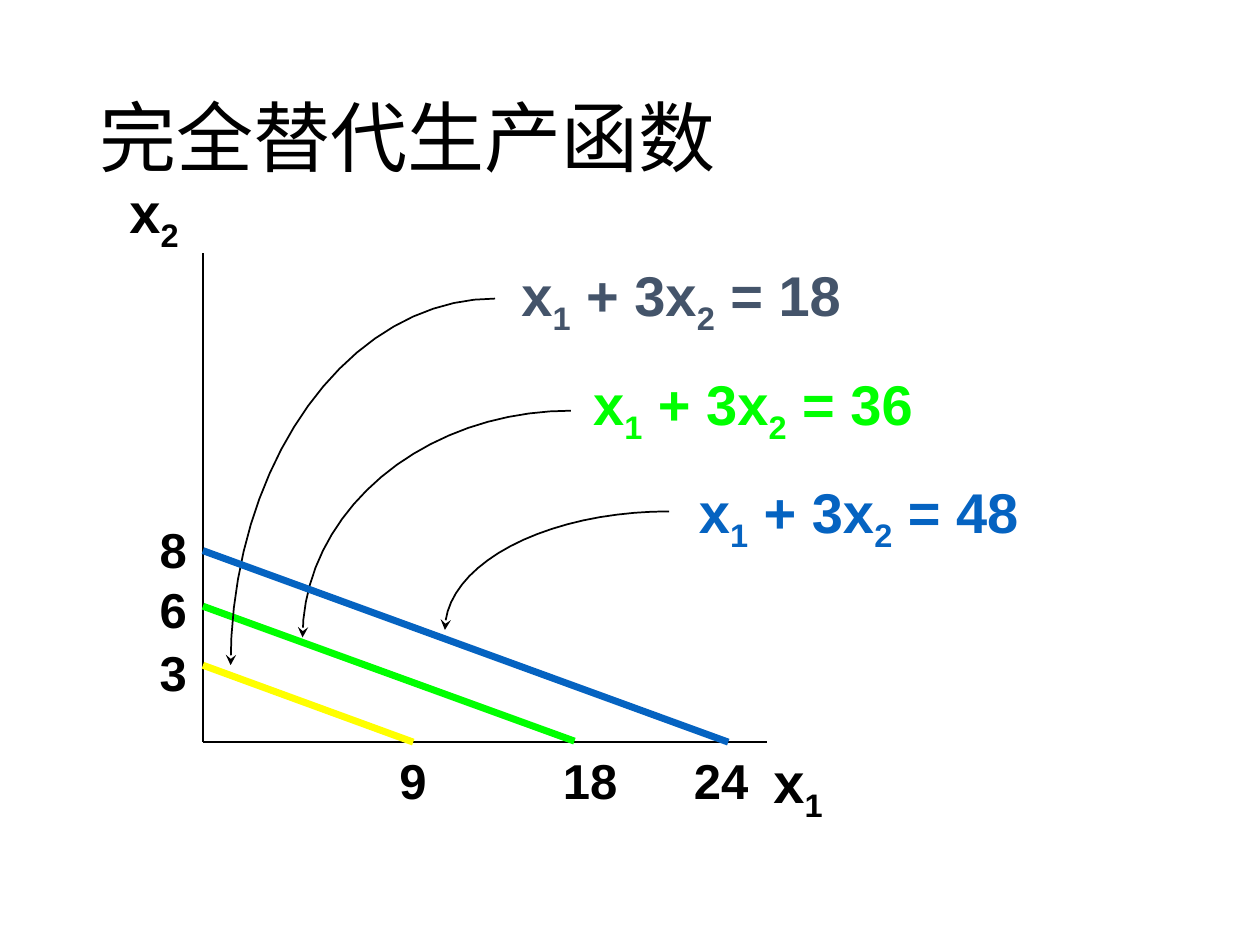
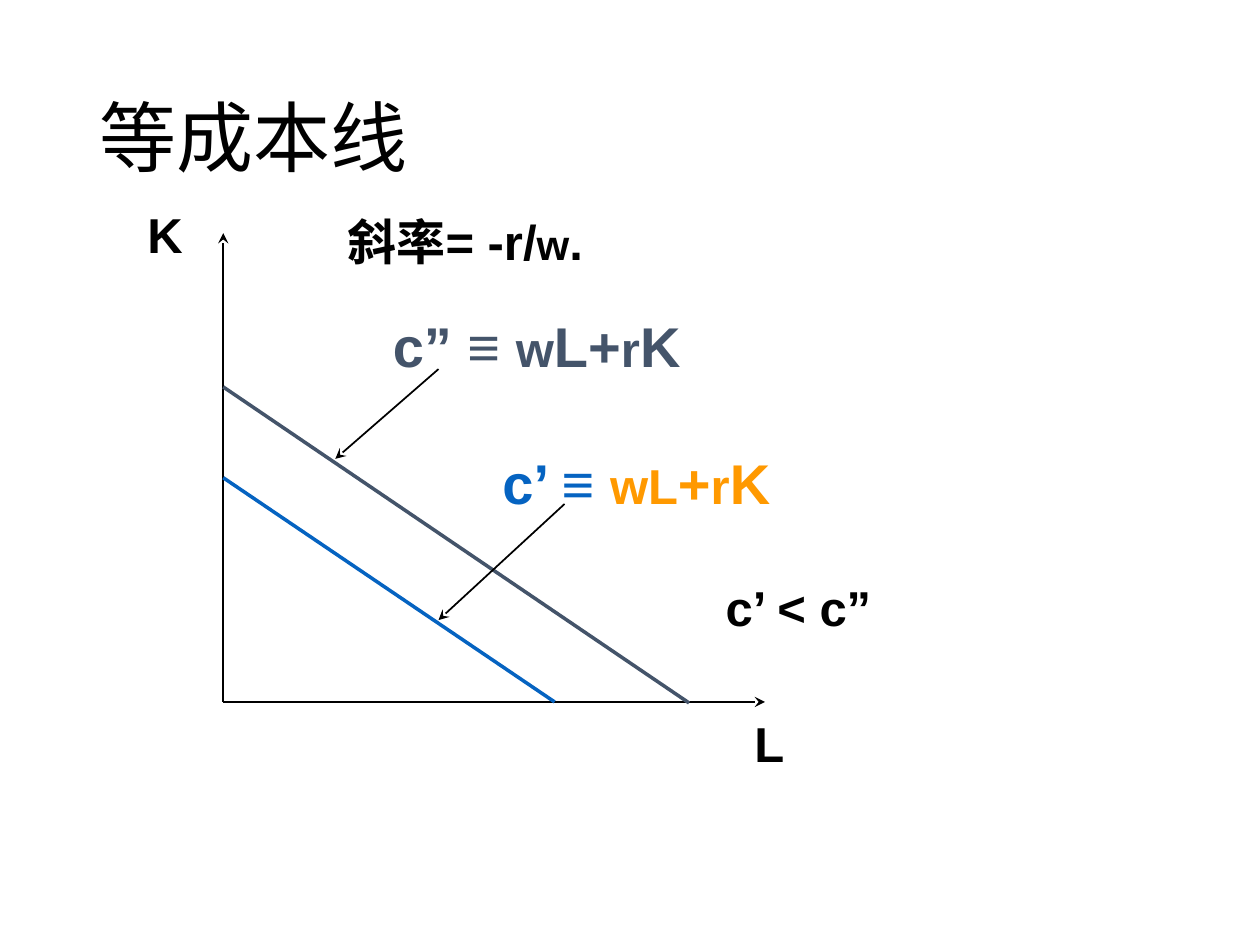
"""Build two production-theory slides: perfect substitutes and isocost lines."""
from dataclasses import dataclass
from math import cos, pi, sin

from lxml.etree import SubElement
from pptx import Presentation
from pptx.dml.color import RGBColor
from pptx.enum.lang import MSO_LANGUAGE_ID
from pptx.enum.shapes import MSO_CONNECTOR
from pptx.enum.text import MSO_ANCHOR, MSO_AUTO_SIZE, PP_ALIGN
from pptx.oxml.ns import qn
from pptx.presentation import Presentation as Deck
from pptx.slide import Slide
from pptx.util import Cm, Pt

COLORS = {
    "black": "000000",
    "slate": "44546A",
    "green": "00FF00",
    "blue": "0563C1",
    "yellow": "FFFF00",
    "orange": "FF9900",
}
TITLE_FONT = "Calibri"
LABEL_FONT = "Arial"
ARC_STEPS = 20
SMALL_HEIGHT = 1.45
LARGE_HEIGHT = 1.61


@dataclass(frozen=True)
class Span:
    """One run of bold label text."""

    text: str
    size: int = 28
    color: str = "black"
    subscript: bool = False


@dataclass(frozen=True)
class Label:
    """A text box placed in centimetres."""

    left: float
    top: float
    width: float
    height: float
    spans: tuple[Span, ...]
    wrap: bool = False


@dataclass(frozen=True)
class Stroke:
    """A straight line or quarter ellipse, with an optional arrow at its end."""

    start: tuple[float, float]
    end: tuple[float, float]
    color: str = "black"
    width: float = 1
    arrow: bool = False
    curved: bool = False


def add_page(deck: Deck, title: str) -> Slide:
    """Add a title-only page with the shared title style."""
    page = deck.slides.add_slide(deck.slide_layouts[5])
    box = page.shapes.title
    box.left, box.top, box.width, box.height = Cm(1.75), Cm(1.02), Cm(21.9), Cm(3.68)
    frame = box.text_frame
    frame.auto_size = MSO_AUTO_SIZE.NONE
    frame.vertical_anchor = MSO_ANCHOR.MIDDLE
    para = frame.paragraphs[0]
    para.alignment = PP_ALIGN.LEFT
    para.line_spacing = 0.9
    run = para.add_run()
    run.text = title
    run.font.name = TITLE_FONT
    run.font.size = Pt(44)
    run.font.language_id = MSO_LANGUAGE_ID.SIMPLIFIED_CHINESE
    run.font.color.rgb = RGBColor.from_string(COLORS["black"])
    return page


def add_label(page: Slide, label: Label) -> None:
    """Draw a label run by run."""
    box = page.shapes.add_textbox(
        Cm(label.left), Cm(label.top), Cm(label.width), Cm(label.height)
    )
    frame = box.text_frame
    frame.word_wrap = label.wrap
    frame.auto_size = MSO_AUTO_SIZE.SHAPE_TO_FIT_TEXT
    para = frame.paragraphs[0]
    for span in label.spans:
        run = para.add_run()
        run.text = span.text
        run.font.name = LABEL_FONT
        run.font.size = Pt(span.size)
        run.font.bold = True
        run.font.language_id = MSO_LANGUAGE_ID.SIMPLIFIED_CHINESE
        run.font.color.rgb = RGBColor.from_string(COLORS[span.color])
        if span.subscript:
            run._r.get_or_add_rPr().set("baseline", "-25000")


def add_stroke(page: Slide, stroke: Stroke) -> None:
    """Draw a line, or a quarter ellipse that leaves horizontally."""
    (x1, y1), (x2, y2) = stroke.start, stroke.end
    if stroke.curved:
        angles = [pi / 2 * step / ARC_STEPS for step in range(1, ARC_STEPS + 1)]
        points = [
            (Cm(x1 + (x2 - x1) * sin(angle)), Cm(y2 + (y1 - y2) * cos(angle)))
            for angle in angles
        ]
        builder = page.shapes.build_freeform(Cm(x1), Cm(y1))
        builder.add_line_segments(points, close=False)
        shape = builder.convert_to_shape()
        shape.fill.background()
    else:
        shape = page.shapes.add_connector(
            MSO_CONNECTOR.STRAIGHT, Cm(x1), Cm(y1), Cm(x2), Cm(y2)
        )
    shape.line.color.rgb = RGBColor.from_string(COLORS[stroke.color])
    shape.line.width = Pt(stroke.width)
    properties = shape._element.spPr
    if stroke.arrow:
        SubElement(properties.find(qn("a:ln")), qn("a:tailEnd"), type="stealth")
    SubElement(properties, qn("a:effectLst"))


def draw(page: Slide, strokes: list[Stroke], labels: list[Label]) -> None:
    """Draw the strokes of a diagram, then its labels."""
    for stroke in strokes:
        add_stroke(page, stroke)
    for label in labels:
        add_label(page, label)


def variable(index: str, color: str = "black", prefix: str = "") -> tuple[Span, ...]:
    """Return the spans of x with a subscript index."""
    return Span(f"{prefix}x", 32, color), Span(index, 32, color, True)


def equation(total: int, color: str) -> tuple[Span, ...]:
    """Return the spans of an isoquant equation."""
    return (
        *variable("1", color),
        *variable("2", color, " + 3"),
        Span(f" = {total}", 32, color),
    )


def build_substitutes(deck: Deck) -> None:
    """Build the page on perfect substitutes."""
    page = add_page(deck, "完全替代生产函数")
    origin = (4.09, 14.96)
    pointers = [
        ((9.98, 6.02), (4.65, 13.41)),
        ((11.51, 8.28), (6.1, 12.85)),
        ((13.49, 10.31), (8.97, 12.7)),
    ]
    strokes = [
        Stroke((origin[0], 5.11), origin),
        Stroke(origin, (15.47, origin[1])),
        Stroke((origin[0], 12.22), (11.58, 14.94), "green", 4),
        *(Stroke(start, end, arrow=True, curved=True) for start, end in pointers),
        Stroke((origin[0], 11.1), (14.68, origin[1]), "blue", 4),
        Stroke((origin[0], 13.41), (8.33, origin[1]), "yellow", 4),
    ]
    x_ticks = [("9", 7.8, 1.07), ("18", 11.1, 1.6), ("24", 13.74, 1.6)]
    y_ticks = [("3", 12.83), ("6", 11.56), ("8", 10.34)]
    equations = [
        (10.26, 5.13, 18, "slate"),
        (11.71, 7.32, 36, "green"),
        (13.84, 9.5, 48, "blue"),
    ]
    labels = [
        *(Label(left, 15.01, width, SMALL_HEIGHT, (Span(text),))
          for text, left, width in x_ticks),
        *(Label(2.97, top, 1.07, SMALL_HEIGHT, (Span(text),)) for text, top in y_ticks),
        Label(15.34, 14.94, 1.55, LARGE_HEIGHT, variable("1")),
        Label(2.36, 3.45, 1.55, LARGE_HEIGHT, variable("2")),
        *(Label(left, top, 7.04, LARGE_HEIGHT, equation(total, color))
          for left, top, total, color in equations),
    ]
    draw(page, strokes, labels)


def build_isocost(deck: Deck) -> None:
    """Build the page on isocost lines."""
    page = add_page(deck, "等成本线")
    origin = (4.5, 14.15)
    strokes = [
        Stroke(origin, (origin[0], 4.7), arrow=True),
        Stroke(origin, (15.42, origin[1]), arrow=True),
        Stroke((13.89, 14.17), (origin[0], 7.8), "slate", 2),
        Stroke((11.18, origin[1]), (origin[0], 9.63), "blue", 2),
        Stroke((8.84, 7.44), (6.76, 9.25), arrow=True),
        Stroke((11.38, 10.16), (8.84, 12.5), arrow=True),
    ]
    low_cost = (
        Span("c’ ≡ ", 32, "blue"),
        Span("wL", 28, "orange"),
        Span("+", 32, "orange"),
        Span("r", 28, "orange"),
        Span("K", 32, "orange"),
    )
    high_cost = (
        Span("c” ≡ ", 32, "slate"),
        Span("w", 28, "slate"),
        Span("L+", 32, "slate"),
        Span("r", 28, "slate"),
        Span("K", 32, "slate"),
    )
    slope = (Span("斜率= -r/"), Span("w", 24), Span("."))
    labels = [
        Label(9.88, 8.92, 5.92, LARGE_HEIGHT, low_cost),
        Label(7.67, 6.15, 6.32, LARGE_HEIGHT, high_cost),
        Label(14.38, 11.51, 3.51, SMALL_HEIGHT, (Span("c’ < c”"),)),
        Label(14.96, 14.25, 1.12, SMALL_HEIGHT, (Span("L"),)),
        Label(2.72, 3.99, 1.24, SMALL_HEIGHT, (Span("K"),)),
        Label(6.76, 4.14, 5.31, SMALL_HEIGHT, slope, wrap=True),
    ]
    draw(page, strokes, labels)


def main() -> None:
    """Build and save the deck."""
    deck = Presentation()
    deck.slide_width, deck.slide_height = Cm(25.4), Cm(19.05)
    build_substitutes(deck)
    build_isocost(deck)
    deck.save("out.pptx")


if __name__ == "__main__":
    main()
